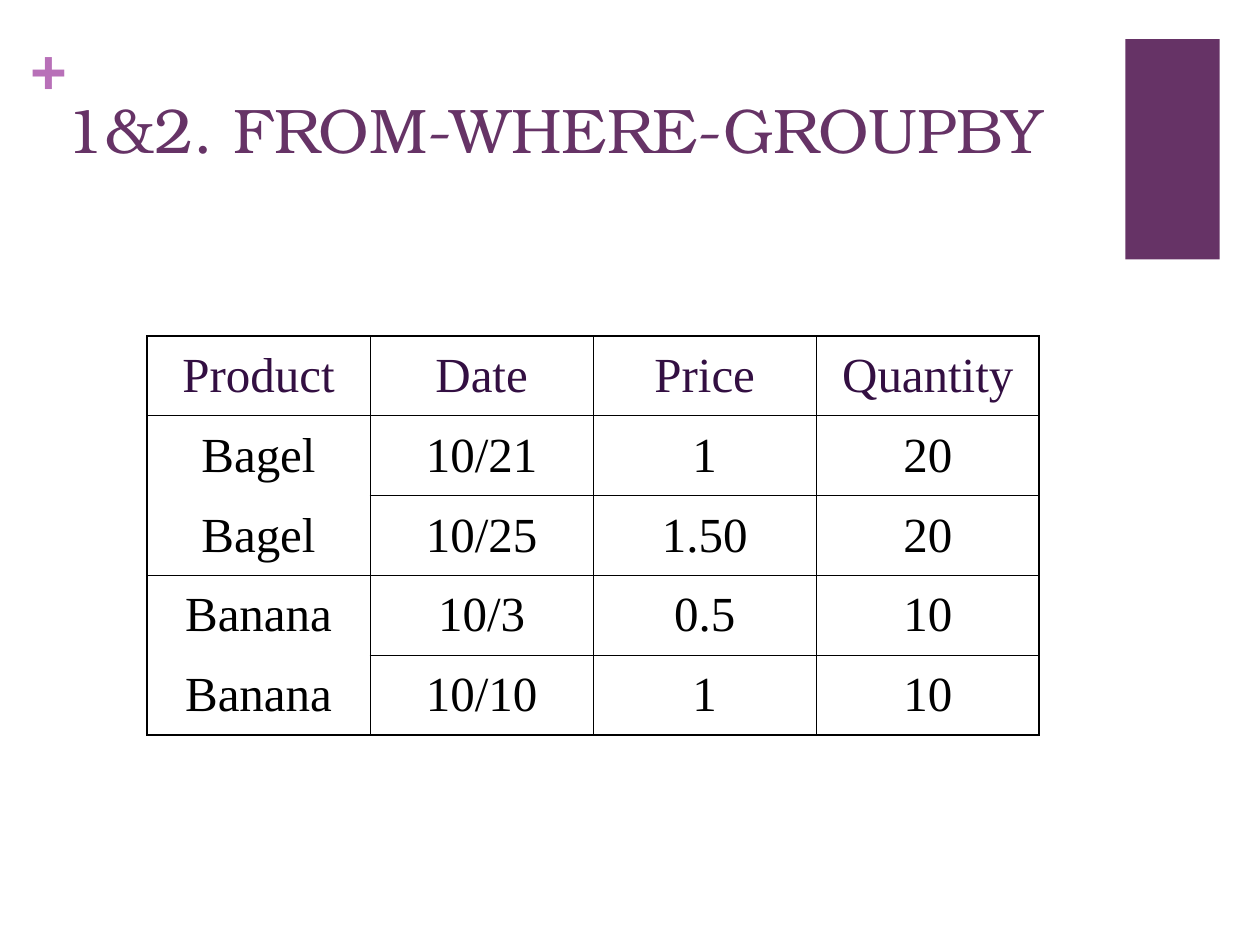
"""Builds the slide on grouped purchases."""
import lxml.etree
import pptx
import pptx.dml.color
import pptx.enum.shapes
import pptx.enum.text
import pptx.oxml.ns
import pptx.util

Pt = pptx.util.Pt
qn = pptx.oxml.ns.qn
TEXT = pptx.enum.text

ROWS = [
    ("Product", "Date", "Price", "Quantity"),
    ("Bagel", "10/21", "1", "20"),
    ("Bagel", "10/25", "1.50", "20"),
    ("Banana", "10/3", "0.5", "10"),
    ("Banana", "10/10", "1", "10"),
]
THIN, THICK = 0.45, 1.08


def hue(code):
    """Return the colour of a hex string."""
    return pptx.dml.color.RGBColor.from_string(code)


def style(par, size, face, code, bold=False):
    """Format the runs of a paragraph."""
    for run in par.runs:
        font = run.font
        font.size, font.name, font.bold = Pt(size), face, bold
        font.color.rgb = hue(code)


def edge(cell, side, width):
    """Draw one cell border, or none when the width is zero."""
    line = lxml.etree.SubElement(cell._tc.get_or_add_tcPr(), qn("a:ln" + side))
    line.set("w", str(int(Pt(width))))
    if width:
        fill = lxml.etree.SubElement(line, qn("a:solidFill"))
        lxml.etree.SubElement(fill, qn("a:srgbClr")).set("val", "000000")
    else:
        lxml.etree.SubElement(line, qn("a:noFill"))


def add_block(slide, left, top, width, height):
    """Add the purple block in the corner."""
    kind = pptx.enum.shapes.MSO_SHAPE.RECTANGLE
    block = slide.shapes.add_shape(kind, Pt(left), Pt(top), Pt(width), Pt(height))
    block.shadow.inherit = False
    block.fill.solid()
    block.fill.fore_color.rgb = hue("663366")
    block.line.fill.background()


def add_plus(slide, left, top, width, height):
    """Add the plus sign beside the title."""
    box = slide.shapes.add_textbox(Pt(left), Pt(top), Pt(width), Pt(height))
    frame = box.text_frame
    frame.margin_left = frame.margin_right = Pt(0)
    frame.margin_top = frame.margin_bottom = Pt(0)
    frame.word_wrap = True
    frame.text = "+"
    style(frame.paragraphs[0], 36, "Arial", "B870B8", True)


def add_title(slide, left, top, width, height):
    """Place and fill the title."""
    title = slide.shapes.title
    title.left, title.top = Pt(left), Pt(top)
    title.width, title.height = Pt(width), Pt(height)
    frame = title.text_frame
    frame.text = "1&2. FROM-WHERE-GROUPBY"
    frame.auto_size = TEXT.MSO_AUTO_SIZE.NONE
    frame.vertical_anchor = TEXT.MSO_ANCHOR.TOP
    frame.paragraphs[0].alignment = TEXT.PP_ALIGN.LEFT
    style(frame.paragraphs[0], 36, "TeX Gyre Bonum", "663366")


def add_grid(slide, left, top, width, height):
    """Add the table, with equal products joined in the first column."""
    rows, cols = len(ROWS), len(ROWS[0])
    shape = slide.shapes.add_table(
        rows, cols, Pt(left), Pt(top), Pt(width), Pt(height))
    table = shape.table
    table.first_row = table.horz_banding = False
    for r, row in enumerate(ROWS):
        for c, word in enumerate(row):
            cell = table.cell(r, c)
            cell.text = word
            cell.vertical_anchor = TEXT.MSO_ANCHOR.MIDDLE
            par = cell.text_frame.paragraphs[0]
            par.alignment = TEXT.PP_ALIGN.CENTER
            style(par, 28, "Times New Roman", "000000" if r else "330F42")
            first, last = r == 0, r == rows - 1
            above = c == 0 and not first and ROWS[r - 1][0] == word
            below = c == 0 and not last and ROWS[r + 1][0] == word
            edge(cell, "L", THICK if c == 0 else THIN)
            edge(cell, "R", THICK if c == cols - 1 else THIN)
            edge(cell, "T", THICK if first else 0 if above else THIN)
            edge(cell, "B", THICK if last else 0 if below else THIN)
            cell.fill.background()


def main():
    """Build and save the slide."""
    deck = pptx.Presentation()
    deck.slide_width, deck.slide_height = Pt(720), Pt(540)
    slide = deck.slides.add_slide(deck.slide_layouts[5])
    add_block(slide, 643, 22.3, 54, 126)
    add_plus(slide, 17.3, 18, 20, 43)
    add_title(slide, 30, 48, 648, 90)
    add_grid(slide, 84, 192, 510, 228)
    deck.save("out.pptx")


if __name__ == "__main__":
    main()
